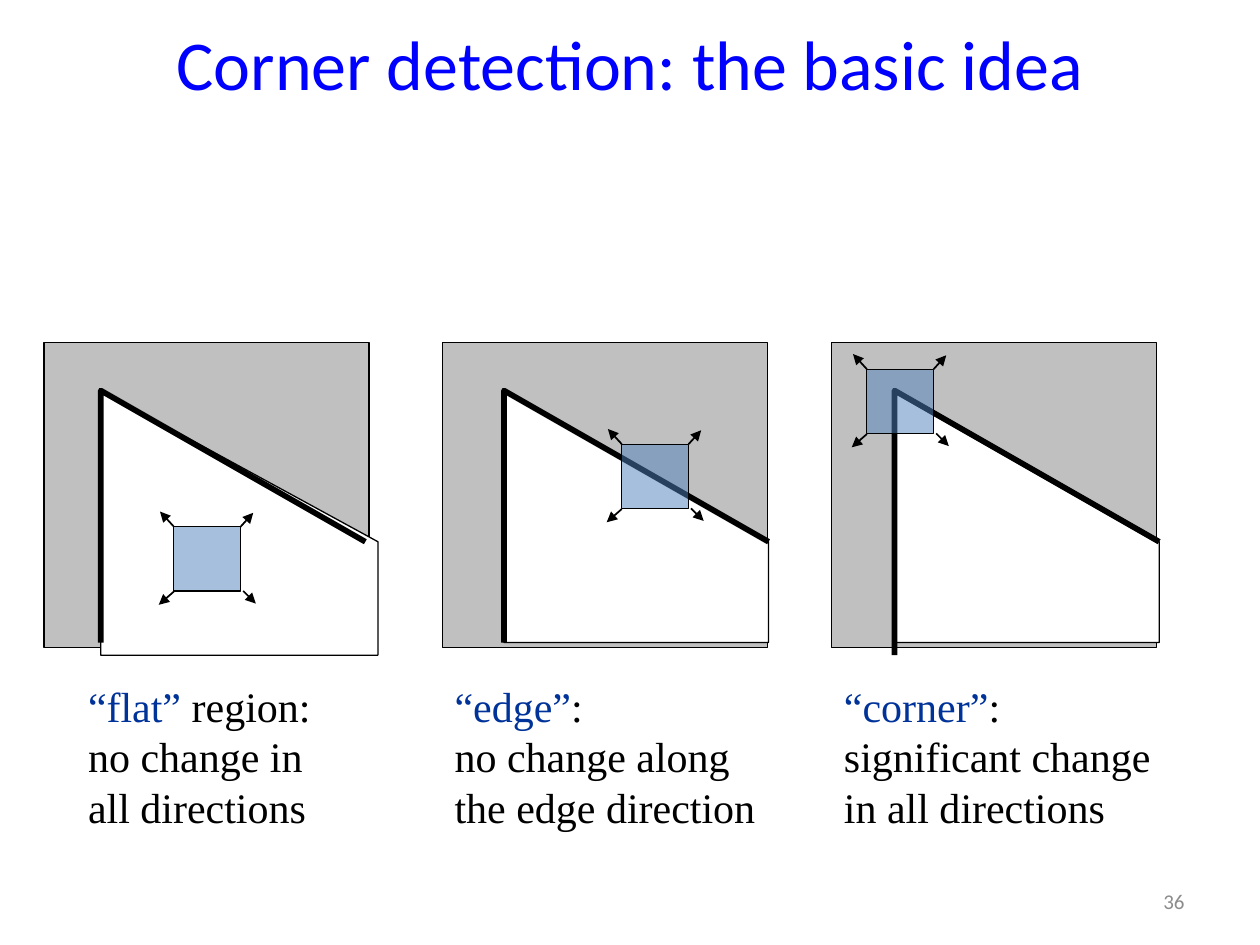
from pptx import Presentation
from pptx.dml.color import RGBColor
from pptx.enum.shapes import MSO_CONNECTOR, MSO_SHAPE
from pptx.enum.text import MSO_ANCHOR, PP_ALIGN
from pptx.oxml.ns import qn
from pptx.util import Inches, Pt
from lxml import etree

RECTANGLE = MSO_SHAPE.RECTANGLE
STRAIGHT = MSO_CONNECTOR.STRAIGHT
MIDDLE, TOP = MSO_ANCHOR.MIDDLE, MSO_ANCHOR.TOP
LEFT, CENTER, RIGHT = PP_ALIGN.LEFT, PP_ALIGN.CENTER, PP_ALIGN.RIGHT

# The slide is a grid of 100 columns by 75 rows of square cells
COLUMNS, ROWS = 100, 75
CELL = Inches(10) // COLUMNS

COLORS = {
    "title": "0000FF",
    "number": "8C8C8C",
    "term": "003399",
    "ink": "000000",
    "background": "C0C0C0",
    "object": "FFFFFF",
    "window": "4F81BD",
}

TITLE_FONT = {"name": "Calibri", "size": Pt(40)}
NUMBER_FONT = {"name": "Calibri", "size": Pt(12)}
CAPTION_FONT = {"name": "Times New Roman", "size": Pt(24)}

# Panel size, window size and the rows shared by all panels
PANEL_TOP, PANEL_WIDTH, PANEL_HEIGHT = 27.2, 25.8, 24.2
WINDOW_WIDTH, WINDOW_HEIGHT = 5.3, 5.1
CAPTION_TOP, CAPTION_HEIGHT = 53.5, 13
OBJECT_WIDTH, OBJECT_SLOPE, OBJECT_HEIGHT = 21, 11.7, 20.1
CONTOUR_TOP = 31.4

# Each arrow: start and end, measured from the window's top left corner
ARROWS = [
    ((5.3, 0), (6.3, -1.1)),
    ((5.5, 5.1), (6.5, 6.1)),
    ((0, 5.15), (-1.2, 6.2)),
    ((0, 0), (-1.1, -1.2)),
]

# contour: left column, width, slope and height of the thick outline
PANELS = [
    {"left": 3.5, "object": (8.5, 31.4), "contour": (8.5, 20.7, 11.5, 19.85),
     "window": (13.8, 41.8), "caption": (6, 22.5),
     "term": "“flat”", "rest": " region:", "meaning": "no change in all directions"},
    {"left": 35.1, "object": (40, 31.2), "contour": (40.15, 20.7, 11.5, 19.85),
     "window": (49.35, 35.25), "caption": (35.1, 26.7),
     "term": "“edge”", "rest": ":", "meaning": "no change along the edge direction"},
    {"left": 66, "object": (70.8, 31.2), "contour": (71, 20.8, 11.6, 20.1),
     "window": (68.8, 29.3), "caption": (66, 26.7),
     "term": "“corner”", "rest": ":", "meaning": "significant change in all directions"},
]


def cells(*counts):
    return [round(count * CELL) for count in counts]


def rgb(color):
    return RGBColor.from_string(COLORS[color])


def style_line(line, width):
    line.color.rgb = rgb("ink")
    line.width = Pt(width)


def style_shape(shape, fill, width):
    shape.shadow.inherit = False
    if fill:
        shape.fill.solid()
        shape.fill.fore_color.rgb = rgb(fill)
    else:
        shape.fill.background()
    style_line(shape.line, width)


def add_box(slide, left, top, width, height, fill):
    box = slide.shapes.add_shape(RECTANGLE, *cells(left, top, width, height))
    style_shape(box, fill, 0.75)
    return box


def add_outline(slide, points, fill, width, close):
    start, *rest = points
    builder = slide.shapes.build_freeform(*start, scale=CELL)
    builder.add_line_segments(rest, close=close)
    style_shape(builder.convert_to_shape(), fill, width)


def add_arrow(slide, start, end):
    arrow = slide.shapes.add_connector(STRAIGHT, *cells(*start, *end))
    style_line(arrow.line, 1)
    etree.SubElement(arrow.line._get_or_add_ln(), qn("a:tailEnd"), type="triangle")
    etree.SubElement(arrow._element.spPr, qn("a:effectLst"))


def add_run(paragraph, text, font, color):
    run = paragraph.add_run()
    run.text = text
    for attribute, value in font.items():
        setattr(run.font, attribute, value)
    run.font.color.rgb = rgb(color)


def add_text(slide, area, align=LEFT, anchor=TOP):
    frame = slide.shapes.add_textbox(*cells(*area)).text_frame
    frame.word_wrap = True
    frame.vertical_anchor = anchor
    paragraph = frame.paragraphs[0]
    paragraph.alignment = align
    return paragraph


def add_window(slide, left, top):
    window = add_box(slide, left, top, WINDOW_WIDTH, WINDOW_HEIGHT, "window")
    color = window.fill._xPr.find(qn("a:solidFill"))[0]
    etree.SubElement(color, qn("a:alpha"), val="50000")
    for start, end in ARROWS:
        add_arrow(slide, *((left + x, top + y) for x, y in (start, end)))


def add_panel(slide, panel):
    # Grey background with the white object in front
    add_box(slide, panel["left"], PANEL_TOP, PANEL_WIDTH, PANEL_HEIGHT, "background")
    x, y = panel["object"]
    right, bottom = x + OBJECT_WIDTH, y + OBJECT_HEIGHT
    corners = [(x, y), (right, y + OBJECT_SLOPE), (right, bottom), (x, bottom)]
    add_outline(slide, corners, "object", 0.75, True)

    # Thick contour, under the sliding window
    x, width, slope, height = panel["contour"]
    contour = [(x, CONTOUR_TOP + height), (x, CONTOUR_TOP), (x + width, CONTOUR_TOP + slope)]
    add_outline(slide, contour, None, 3.25, False)
    add_window(slide, *panel["window"])

    # Caption
    left, width = panel["caption"]
    caption = add_text(slide, (left, CAPTION_TOP, width, CAPTION_HEIGHT))
    add_run(caption, panel["term"], CAPTION_FONT, "term")
    add_run(caption, panel["rest"], CAPTION_FONT, "ink")
    caption.add_line_break()
    add_run(caption, panel["meaning"], CAPTION_FONT, "ink")


def main():
    presentation = Presentation()
    presentation.slide_width, presentation.slide_height = cells(COLUMNS, ROWS)
    slide = presentation.slides.add_slide(presentation.slide_layouts[6])

    # Title and slide number
    title = add_text(slide, (5, 0, 90, 10), CENTER, MIDDLE)
    add_run(title, "Corner detection: the basic idea", TITLE_FONT, "title")
    number = add_text(slide, (71.7, 69.5, 23.3, 4), RIGHT, MIDDLE)
    add_run(number, "36", NUMBER_FONT, "number")

    # Flat, edge and corner cases
    for panel in PANELS:
        add_panel(slide, panel)

    presentation.save("out.pptx")


if __name__ == "__main__":
    main()
